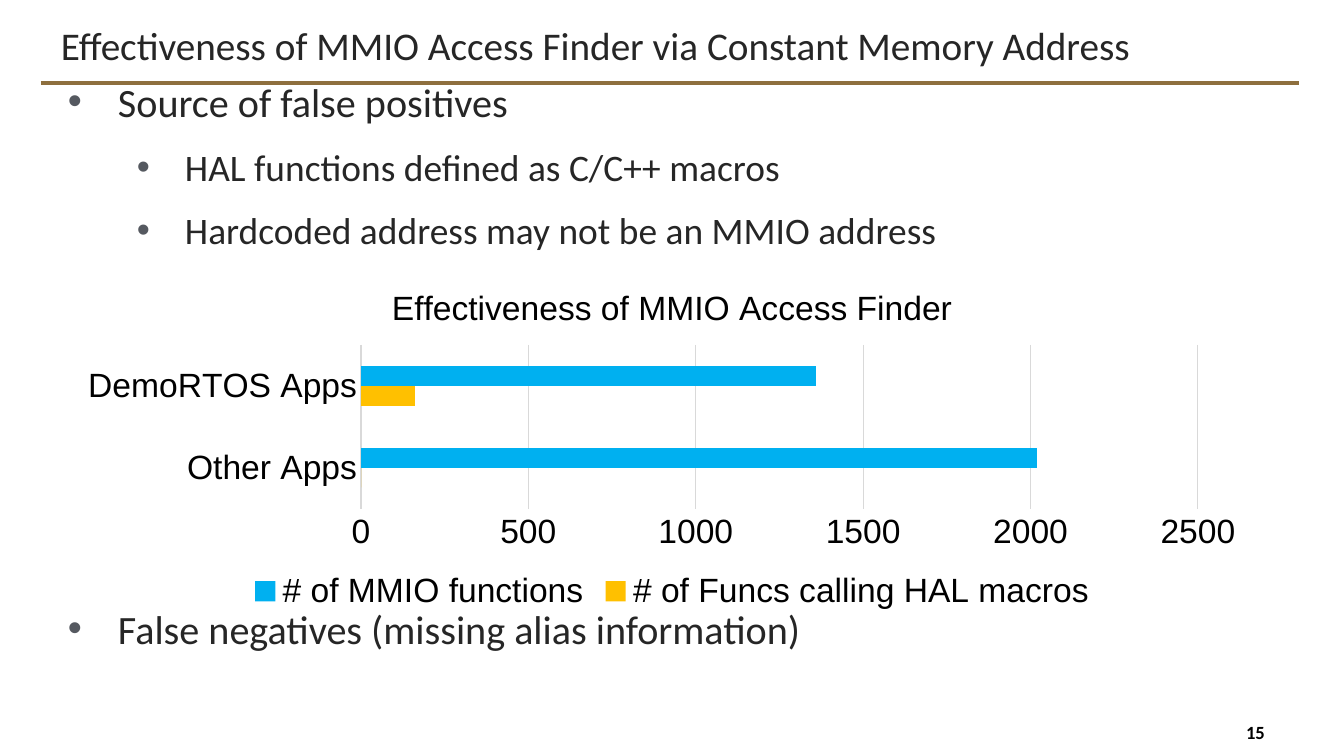
from lxml import etree
from pptx import Presentation
from pptx.chart.data import CategoryChartData
from pptx.dml.color import RGBColor
from pptx.enum.chart import XL_CHART_TYPE as ChartType, XL_LEGEND_POSITION as LegendPosition
from pptx.enum.chart import XL_TICK_MARK as TickMark
from pptx.enum.shapes import MSO_CONNECTOR as Connector, MSO_SHAPE as Shape
from pptx.enum.text import MSO_ANCHOR as Anchor, PP_ALIGN as Align
from pptx.oxml import parse_xml
from pptx.oxml.ns import nsdecls, qn
from pptx.util import Emu, Pt

COLORS = {
    "text": "262626", "black": "000000", "rule": "8E6F3E", "bullet": "555960",
    "grid": "D9D9D9", "macros": "FFC000", "functions": "00B0F0",
}
EMU_PER_PX = 914400 / 100.8


def px(length):
    return Emu(round(length * EMU_PER_PX))


def color(name):
    return RGBColor.from_string(COLORS[name])


class SlideBuilder:
    TEXT_FONT = "Calibri"
    CHART_FONT = "Arial"
    CHART_SIZE = 24
    LEVELS = [(28.7, 67, -50), (26.7, 134, -48)]  # size, left margin, indent

    def __init__(self, presentation):
        self.slide = presentation.slides.add_slide(presentation.slide_layouts[5])

    def style_font(self, font, size, color_name, family, bold=False):
        font.size, font.name, font.bold = Pt(size), family, bold
        font.color.rgb = color(color_name)

    def set_frame(self, frame, side, top, anchor):
        frame.word_wrap = True
        frame.margin_left = frame.margin_right = px(side)
        frame.margin_top = frame.margin_bottom = px(top)
        frame.vertical_anchor = anchor

    def add_run(self, paragraph, text, size, color_name="text", bold=False):
        run = paragraph.add_run()
        run.text = text
        self.style_font(run.font, size, color_name, self.TEXT_FONT, bold)

    def title(self, text, left, top, width, height):
        shape = self.slide.shapes.title
        shape.left, shape.top, shape.width, shape.height = map(px, (left, top, width, height))
        self.set_frame(shape.text_frame, 20, 20, Anchor.MIDDLE)
        paragraph = shape.text_frame.paragraphs[0]
        paragraph.alignment, paragraph.line_spacing = Align.LEFT, 0.9
        self.add_run(paragraph, text, 28)

    def rule(self, left, right, y):
        line = self.slide.shapes.add_connector(Connector.STRAIGHT, px(left), px(y), px(right), px(y))
        line.line.color.rgb = color("rule")
        line.line.width = Pt(3)
        etree.SubElement(line._element.spPr, qn("a:effectLst"))

    def bullets(self, items, left, top, width, height):
        """Add a list of (level, text) items."""
        frame = self.slide.shapes.add_textbox(*map(px, (left, top, width, height))).text_frame
        self.set_frame(frame, 10, 5, Anchor.TOP)
        for index, (level, text) in enumerate(items):
            paragraph = frame.add_paragraph() if index else frame.paragraphs[0]
            size, margin, indent = self.LEVELS[level]
            paragraph.level, paragraph.space_before = level, Pt(13.3)
            properties = paragraph._p.get_or_add_pPr()
            properties.set("marL", str(px(margin)))
            properties.set("indent", str(px(indent)))
            bullet_color = etree.SubElement(properties, qn("a:buClr"))
            etree.SubElement(bullet_color, qn("a:srgbClr"), val=COLORS["bullet"])
            etree.SubElement(properties, qn("a:buFont"), typeface="Arial")
            etree.SubElement(properties, qn("a:buChar"), char="•")
            self.add_run(paragraph, text, size)

    def page_number(self, text, left, top, width, height):
        shape = self.slide.shapes.add_shape(Shape.OVAL, *map(px, (left, top, width, height)))
        shape.shadow.inherit = False
        shape.fill.background()
        shape.line.fill.background()
        self.set_frame(shape.text_frame, 2, 5, Anchor.MIDDLE)
        paragraph = shape.text_frame.paragraphs[0]
        paragraph.alignment = Align.CENTER
        self.add_run(paragraph, text, 13.3, "black", bold=True)

    def bar_chart(self, title, categories, series, plot_box, left, top, width, height):
        """Add a bar chart; series are (name, values, color), plot_box is in px inside the chart."""
        data = CategoryChartData()
        data.categories = categories
        for name, values, _ in series:
            data.add_series(name, values)
        chart = self.slide.shapes.add_chart(
            ChartType.BAR_CLUSTERED, *map(px, (left, top, width, height)), data).chart
        chart_style = (self.CHART_SIZE, "black", self.CHART_FONT)
        self.style_font(chart.font, *chart_style)

        run = chart.chart_title.text_frame.paragraphs[0].add_run()
        run.text = title
        self.style_font(run.font, *chart_style)
        chart.has_legend = True
        chart.legend.position = LegendPosition.BOTTOM
        chart.legend.include_in_layout = False
        self.style_font(chart.legend.font, *chart_style)

        plot = chart.plots[0]
        plot.gap_width, plot.overlap, plot.vary_by_categories = 219, 0, False
        for bars, (_, _, color_name) in zip(plot.series, series):
            bars.format.fill.solid()
            bars.format.fill.fore_color.rgb = color(color_name)

        values_axis = chart.value_axis
        values_axis.minimum_scale, values_axis.maximum_scale, values_axis.major_unit = 0, 2500, 500
        for axis in (chart.category_axis, values_axis):
            axis.major_tick_mark = axis.minor_tick_mark = TickMark.NONE
            self.style_font(axis.tick_labels.font, *chart_style)
        values_axis.format.line.fill.background()
        for line in (chart.category_axis.format.line, values_axis.major_gridlines.format.line):
            line.color.rgb = color("grid")
            line.width = Pt(0.75)
        self.place_plot(chart, plot_box, (width, height))

    def place_plot(self, chart, plot_box, chart_size):
        area = chart._chartSpace.chart.plotArea
        for layout in area.findall(qn("c:layout")):
            area.remove(layout)
        sizes = "".join(f'<c:{tag} val="{length / whole}"/>'
                        for tag, length, whole in zip("xywh", plot_box, chart_size * 2))
        area.insert(0, parse_xml(
            f'<c:layout {nsdecls("c")}><c:manualLayout><c:layoutTarget val="inner"/>'
            f'<c:xMode val="edge"/><c:yMode val="edge"/>{sizes}</c:manualLayout></c:layout>'))


def main():
    presentation = Presentation()
    presentation.slide_width, presentation.slide_height = px(1344), px(756)
    builder = SlideBuilder(presentation)
    builder.rule(41, 1299, 83)
    builder.bullets([
        (0, "Source of false positives"),
        (1, "HAL functions defined as C/C++ macros"),
        (1, "Hardcoded address may not be an MMIO address"),
    ], 41, 72, 1258, 190)
    builder.bullets([(0, "False negatives (missing alias information)")], 41, 599, 1258, 60)
    builder.title("Effectiveness of MMIO Access Finder via Constant Memory Address", 41, 13, 1182, 70)
    builder.page_number("15", 1229, 712, 53, 40)
    builder.bar_chart(
        "Effectiveness of MMIO Access Finder",
        ["Other Apps", "DemoRTOS Apps"],
        [("# of Funcs calling HAL macros", [0, 160], "macros"),
         ("# of MMIO functions", [2020, 1360], "functions")],
        (276, 77, 837, 164), 85, 268, 1174, 349)
    presentation.save("out.pptx")


if __name__ == "__main__":
    main()
